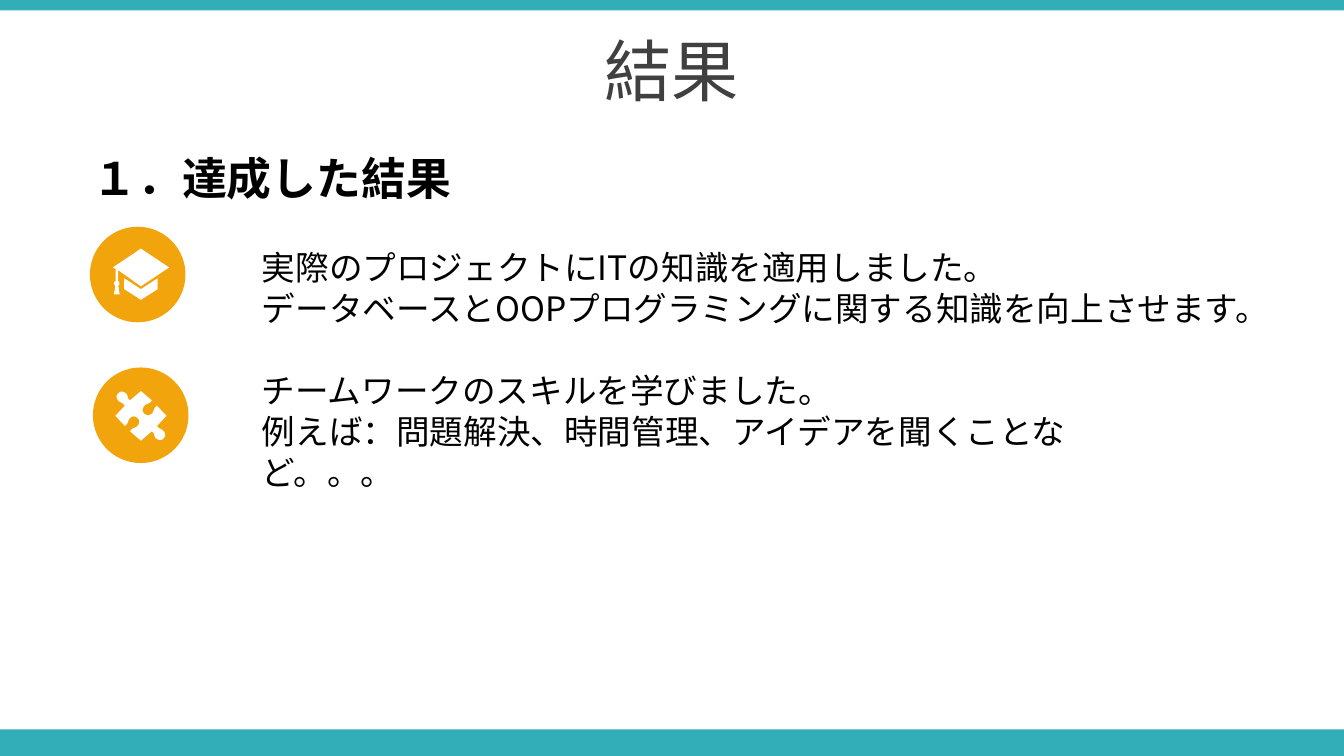
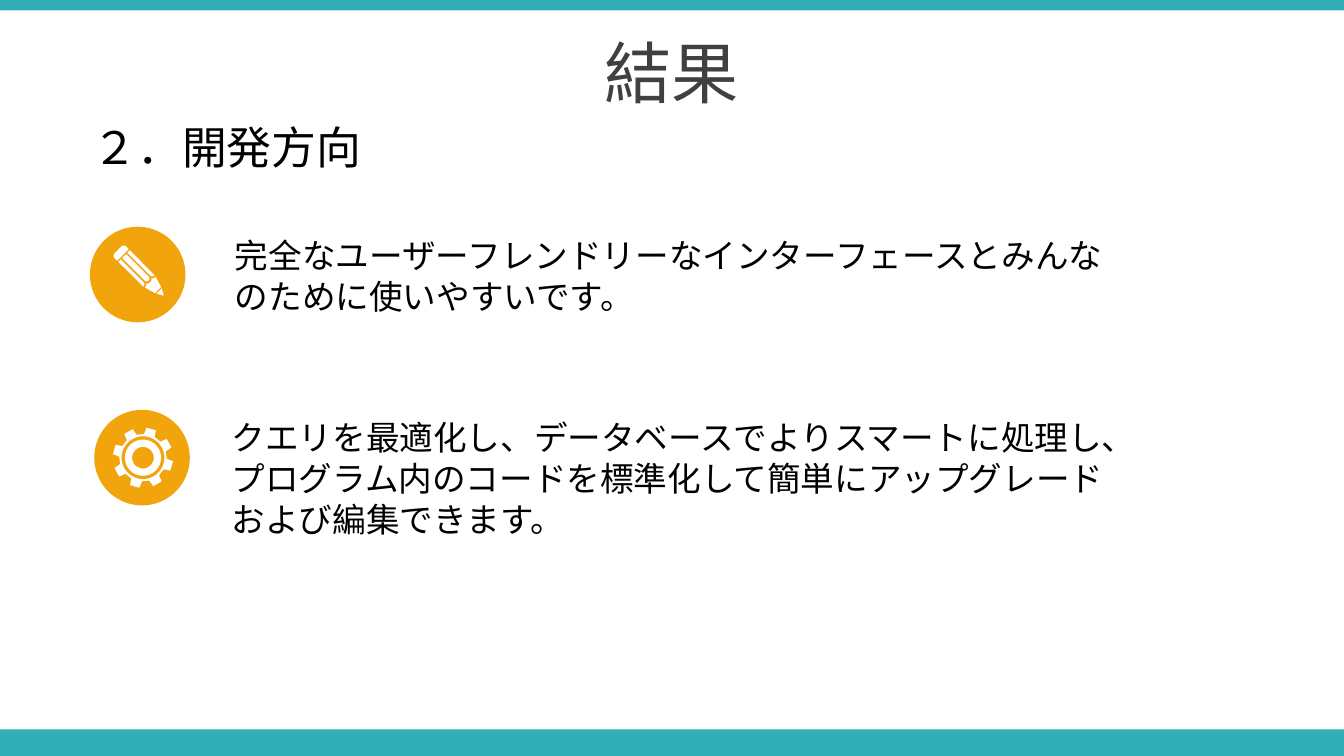
"""Build two result slides: achievements and development direction."""
import math
from dataclasses import dataclass

import pptx
import pptx.dml.color
import pptx.enum.shapes
import pptx.enum.text
import pptx.oxml.ns
import pptx.slide
import pptx.text.text
import pptx.util
from lxml import etree

Pt = pptx.util.Pt
RGBColor = pptx.dml.color.RGBColor
Align = pptx.enum.text.PP_ALIGN
Anchor = pptx.enum.text.MSO_ANCHOR
Preset = pptx.enum.shapes.MSO_SHAPE

TEAL = RGBColor(0x32, 0xAE, 0xB8)
ORANGE = RGBColor(0xF2, 0xA4, 0x0D)
WHITE = RGBColor(0xFF, 0xFF, 0xFF)
GREY = RGBColor(0x40, 0x40, 0x40)
BLACK = RGBColor(0x00, 0x00, 0x00)

PAGE_WIDTH, PAGE_HEIGHT = 720, 405
TOP_BAND, BOTTOM_BAND = 5.6, 14.2
BADGE = 51.2
TITLE_FONT, BODY_FONT = "Arial", "Noto Sans CJK JP"
LINE_FACTOR = 1.22
CURVE_STEPS = 8

Point = tuple[float, float]
Outline = list[Point]


@dataclass(frozen=True)
class Label:
    """A text box with its place and type style."""
    left: float
    top: float
    width: float
    height: float
    lines: tuple[str, ...]
    size: float = 18
    bold: bool = False
    font: str = BODY_FONT
    color: RGBColor = BLACK
    align: Align = Align.LEFT
    anchor: Anchor = Anchor.TOP


@dataclass(frozen=True)
class Badge:
    """A round badge and the centre of the icon on it."""
    left: float
    top: float
    icon_x: float
    icon_y: float
    outlines: list[Outline]


@dataclass(frozen=True)
class Page:
    """The content of one slide."""
    title_top: float
    labels: tuple[Label, ...]
    badges: tuple[Badge, ...]


def trace(steps: str) -> Outline:
    """Turn M, L and C steps into points, sampling each curve."""
    points: Outline = []
    for step in steps.split(";"):
        kind, *numbers = step.split()
        values = [float(number) for number in numbers]
        pairs = list(zip(values[::2], values[1::2]))
        if kind != "C":
            points += pairs
            continue
        nodes = [points[-1], *pairs]
        for index in range(1, CURVE_STEPS + 1):
            t = index / CURVE_STEPS
            weights = [math.comb(3, k) * t**k * (1 - t)**(3 - k) for k in range(4)]
            points.append((sum(w * x for w, (x, _) in zip(weights, nodes)),
                           sum(w * y for w, (_, y) in zip(weights, nodes))))
    return points


def polar(radius: float, degrees: float) -> Point:
    """Return the point at an angle on a circle around the origin."""
    angle = math.radians(degrees)
    return radius * math.cos(angle), radius * math.sin(angle)


def turn(outline: Outline, degrees: float) -> Outline:
    """Rotate an outline around the origin."""
    cos, sin = polar(1, degrees)
    return [(x * cos - y * sin, x * sin + y * cos) for x, y in outline]


def graduation_cap() -> list[Outline]:
    """Return the mortarboard with its tassel, and the cap below."""
    board = trace("M 0 -13.7;L 15.1 -3.6;L 0 6.5;L -12.2 -2.2;L -12.2 3.6;"
                  "C -11.8 4 -11.5 4.6 -11.5 5;C -11.5 5.5 -11.8 5.9 -12.1 6.1;"
                  "L -11.4 10.8;L -14.4 10.8;L -13.7 6.1;"
                  "C -14.1 5.9 -14.4 5.5 -14.4 5;C -14.4 4.5 -14.1 4 -13.6 3.6;"
                  "L -13.6 -2.9;L -15.1 -3.6")
    cap = trace("M 9 2.2;L 0 8;L -9 2.2;L -9 8;L 0 13.7;L 9 8")
    return [board, cap]


def puzzle_piece() -> list[Outline]:
    """Return a jigsaw piece whose halves are half a turn apart."""
    half = trace("M 0 -13.3;L -5.8 -8.3;C -7.9 -9.7 -6.5 -10.4 -7.9 -11.9;"
                 "C -9.4 -13.3 -11.5 -13.3 -12.2 -11.9;"
                 "C -13.3 -11 -13.3 -9.7 -12.2 -8.3;"
                 "C -11.2 -6.8 -10.1 -7.6 -8.6 -5.4;L -13.7 0;L -8.6 5.4;"
                 "C -6.5 4 -7.2 2.5 -5.8 1.1;C -4.3 0 -2.9 0 -1.4 1.6;"
                 "C -0.7 2.5 -0.7 4 -1.8 5.4;C -3.2 6.8 -4.7 6.1 -5.8 8.3")
    return [half + turn(half, 180)]


def pencil() -> list[Outline]:
    """Return a pencil that points to the lower right."""
    side = trace("M -12.7 2.5;L -12.7 4.4;L 6.1 4.3;C 6.1 3.4 5.8 2.5 4.6 2.5")
    parts = [
        trace("M 17.3 0;L 13.8 -2;L 13.8 2"),
        trace("M 13 -2.3;L 7.1 -4.1;C 7.1 -3 6.6 -2.2 6 -2;C 6.9 -1.5 7.1 -0.7 7.1 0;"
              "C 7.1 0.7 6.9 1.5 6 2;C 6.6 2.2 7.1 3 7.1 4.1;L 13 2.3"),
        side,
        trace("M -12.7 -1.5;L -12.7 1.5;L 4.6 1.5;C 6.3 1.2 6.3 -1.2 4.6 -1.5"),
        [(x, -y) for x, y in side],
        trace("M -13.6 -4.4;L -15.6 -4.4;C -16.6 -4.4 -17.4 -3.4 -17.4 -2.3;"
              "L -17.4 2.3;C -17.4 3.4 -16.6 4.4 -15.6 4.4;L -13.6 4.4"),
    ]
    return [turn(part, 45) for part in parts]


def gear() -> list[Outline]:
    """Return a gear of eight teeth with a ring in its hole."""
    profile = ((12.7, -13.5), (16.2, -9.2), (16.2, 9.2), (12.7, 13.5))
    teeth = [polar(radius, -74 + 45 * tooth + offset)
             for tooth in range(8) for radius, offset in profile]
    rings = [[polar(radius, angle) for angle in range(0, 360, 10)]
             for radius in (11.5, 9.7, 5.8)]
    return [teeth, *rings]


def paint(shape, color: RGBColor) -> None:
    """Give a shape a flat fill with no line or shadow."""
    shape.shadow.inherit = False
    shape.fill.solid()
    shape.fill.fore_color.rgb = color
    shape.line.fill.background()


def add_preset(slide: pptx.slide.Slide, preset: Preset, left: float, top: float,
               width: float, height: float, color: RGBColor) -> None:
    """Add a flat preset shape."""
    paint(slide.shapes.add_shape(preset, Pt(left), Pt(top), Pt(width), Pt(height)), color)


def add_badge(slide: pptx.slide.Slide, badge: Badge) -> None:
    """Add an orange disc with a white icon."""
    add_preset(slide, Preset.OVAL, badge.left, badge.top, BADGE, BADGE, ORANGE)
    builder = None
    for outline in badge.outlines:
        start, *others = [(Pt(badge.icon_x + x), Pt(badge.icon_y + y)) for x, y in outline]
        if builder is None:
            builder = slide.shapes.build_freeform(*start)
        else:
            builder.move_to(*start)
        builder.add_line_segments(others, close=True)
    paint(builder.convert_to_shape(), WHITE)


def add_span(para: pptx.text.text._Paragraph, text: str, label: Label) -> None:
    """Add one styled run, with the East Asian font named as well."""
    span = para.add_run()
    span.text = text
    span.font.size = Pt(label.size)
    span.font.bold = label.bold
    span.font.name = label.font
    span.font.color.rgb = label.color
    east_asian = etree.SubElement(span.font._element, pptx.oxml.ns.qn("a:ea"))
    east_asian.set("typeface", BODY_FONT)


def add_label(slide: pptx.slide.Slide, label: Label) -> None:
    """Add a wrapped text box with one paragraph for each line."""
    box = slide.shapes.add_textbox(Pt(label.left), Pt(label.top),
                                   Pt(label.width), Pt(label.height))
    frame = box.text_frame
    frame.word_wrap = True
    frame.vertical_anchor = label.anchor
    for index, text in enumerate(label.lines):
        para = frame.add_paragraph() if index else frame.paragraphs[0]
        para.alignment = label.align
        para.line_spacing = Pt(round(label.size * LINE_FACTOR))
        add_span(para, text, label)


def add_page(deck, page: Page) -> None:
    """Add a slide with bands, title, badges and text."""
    slide = deck.slides.add_slide(deck.slide_layouts[6])
    slide.background.fill.solid()
    slide.background.fill.fore_color.rgb = WHITE
    add_preset(slide, Preset.RECTANGLE, 0, PAGE_HEIGHT - BOTTOM_BAND,
               PAGE_WIDTH, BOTTOM_BAND, TEAL)
    add_preset(slide, Preset.RECTANGLE, 0, 0, PAGE_WIDTH, TOP_BAND, TEAL)
    add_label(slide, Label(0, page.title_top, PAGE_WIDTH, 45.4, ("結果",), 36,
                           font=TITLE_FONT, color=GREY,
                           align=Align.CENTER, anchor=Anchor.MIDDLE))
    for badge in page.badges:
        add_badge(slide, badge)
    for label in page.labels:
        add_label(slide, label)


PAGES = (
    Page(14.4, (
        Label(42.5, 77, 464.4, 36, ("１．達成した結果",), 24, True),
        Label(133.2, 128.2, 555.8, 51,
              ("実際のプロジェクトにITの知識を適用しました。",
               "データベースとOOPプログラミングに関する知識を向上させます。")),
        Label(133.2, 194.4, 453.6, 72.7,
              ("チームワークのスキルを学びました。 ",
               "例えば：問題解決、時間管理、アイデアを聞くことなど。。。")),
    ), (
        Badge(48.2, 121.5, 75.5, 146.9, graduation_cap()),
        Badge(49.8, 196.9, 75.5, 222.8, puzzle_piece()),
    )),
    Page(15.1, (
        Label(42.5, 60.5, 589.7, 36, ("２．開発方向",), 24),
        Label(118.8, 121.7, 481.7, 51,
              ("完全なユーザーフレンドリーなインターフェースとみんなのために使いやすいです。",)),
        Label(117, 219.6, 486, 72.7,
              ("クエリを最適化し、データベースでよりスマートに処理し、"
               "プログラム内のコードを標準化して簡単にアップグレードおよび編集できます。",)),
    ), (
        Badge(48.2, 121.5, 75.5, 146.2, pencil()),
        Badge(50.5, 219.6, 76.6, 245.2, gear()),
    )),
)


def main() -> None:
    """Build the deck and save it."""
    deck = pptx.Presentation()
    deck.slide_width, deck.slide_height = Pt(PAGE_WIDTH), Pt(PAGE_HEIGHT)
    for page in PAGES:
        add_page(deck, page)
    deck.save("out.pptx")


main()
